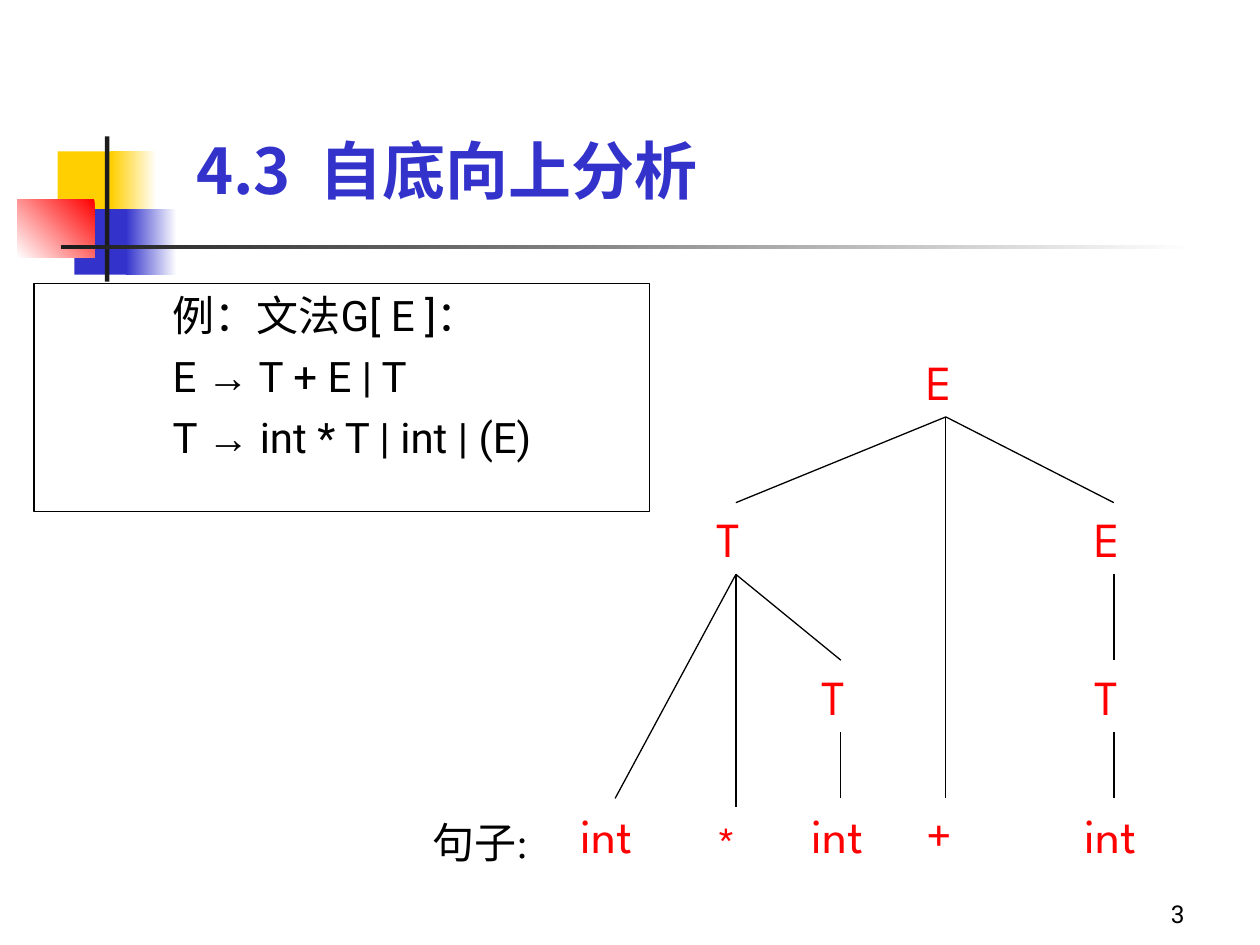
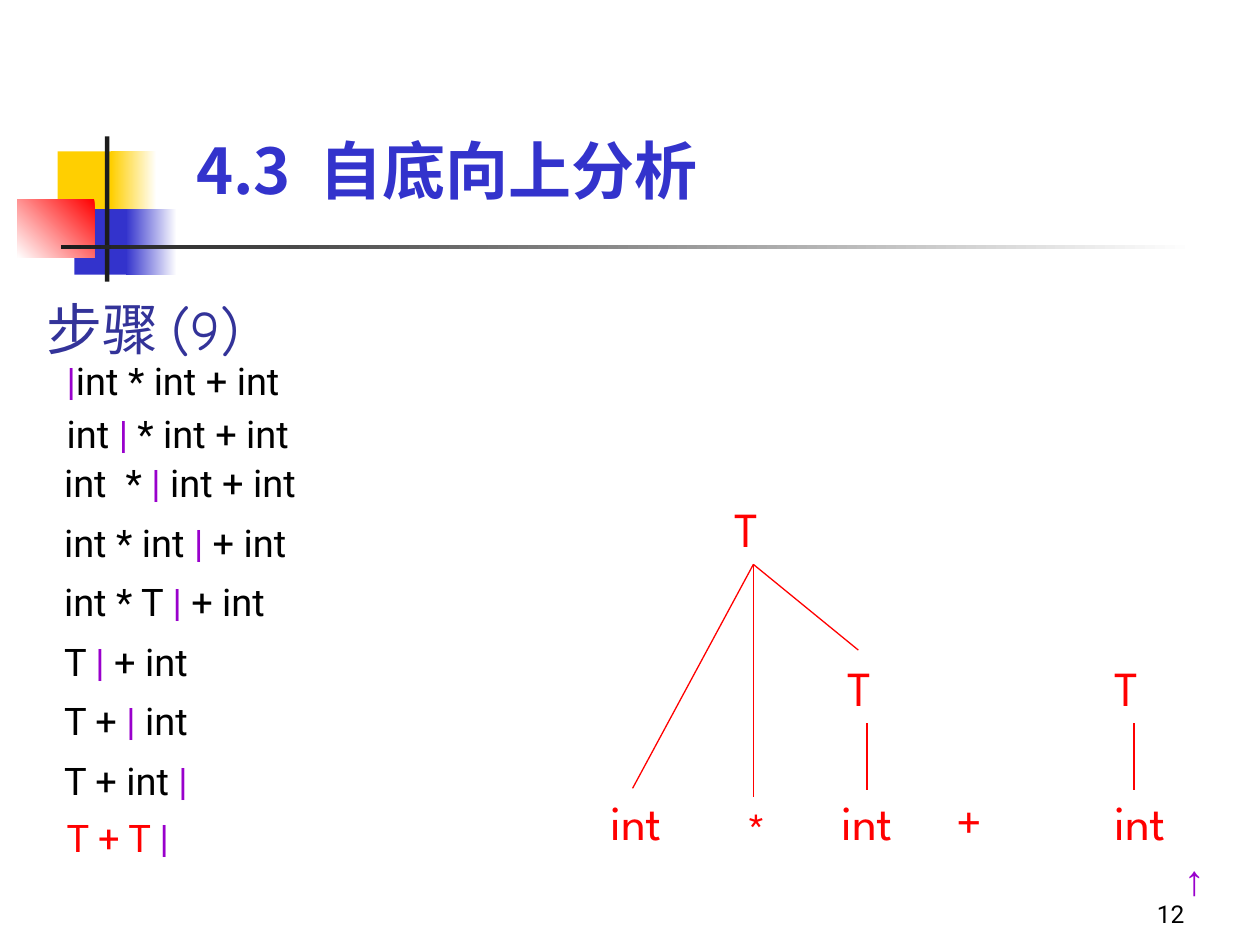
from lxml import etree
from pptx import Presentation
from pptx.dml.color import RGBColor
from pptx.enum.shapes import MSO_CONNECTOR as CONN, MSO_SHAPE as SHAPE
from pptx.enum.text import MSO_ANCHOR as ANCHOR, PP_ALIGN as ALIGN
from pptx.oxml.ns import qn
from pptx.util import Pt

# Shared style
YELLOW, BLUE, RED, DARK = "FFCF01", "3333CC", "FF0000", "1C1C1C"
BLACK, WHITE, PURPLE, NAVY = "000000", "FFFFFF", "9900CC", "333399"
CJK, BODY, TREE, ARROW = "Noto Sans CJK SC", "Roboto", "League Spartan", "Arial"
NODE_W, NODE_H = 36, 41
BOTTOM, TOP = 2, 0

# Sentence below both trees: label, centre x, top y, width
LEAVES = {
    "int1": ("int", 27, 259, 54),
    "times": ("*", 96, 264, NODE_W),
    "int2": ("int", 156, 259, 48),
    "plus": ("+", 216, 258.5, NODE_W),
    "int3": ("int", 312, 259, 48),
}


def rgb(value):
    return RGBColor.from_string(value)


def add_text(s, box, paragraphs, size=24, font=BODY, color=BLACK, bold=False,
             align=ALIGN.LEFT, anchor=ANCHOR.TOP, space=0, spacing=None,
             indent=0, outline=None):
    """Each paragraph is a list of (text, font, colour); None means the default."""
    sp = s.shapes.add_textbox(*map(Pt, box))
    if outline:
        sp.line.color.rgb = rgb(outline)
        sp.line.width = Pt(0.75)
    tf = sp.text_frame
    tf.word_wrap = True
    tf.vertical_anchor = anchor
    tf.margin_left = Pt(7.2 + indent)
    for i, runs in enumerate(paragraphs):
        p = tf.add_paragraph() if i else tf.paragraphs[0]
        p.alignment = align
        if i:
            p.space_before = Pt(space)
        if spacing:
            p.line_spacing = spacing
        for words, run_font, run_color in runs:
            r = p.add_run()
            r.text = words
            r.font.name = run_font or font
            r.font.size = Pt(size)
            r.font.bold = bold
            r.font.color.rgb = rgb(run_color or color)
            east = etree.SubElement(r.font._element, qn("a:ea"))
            east.set("typeface", ARROW if run_font == ARROW else CJK)
    return sp


def add_line(s, label, words, **fmt):
    return add_text(s, label, [[(words, None, None)]], **fmt)


def add_block(s, box, start, end=None, angle=180):
    """A plain rectangle, or one fading from start to end."""
    sp = s.shapes.add_shape(SHAPE.RECTANGLE, *map(Pt, box))
    sp.shadow.inherit = False
    sp.line.fill.background()
    if end is None:
        sp.fill.solid()
        sp.fill.fore_color.rgb = rgb(start)
        return
    sp.fill.gradient()
    sp.fill.gradient_angle = angle
    for stop, color in zip(sp.fill.gradient_stops, (start, end)):
        stop.color.rgb = rgb(color)


def add_frame(s, number):
    # Coloured squares and crossing bars
    add_block(s, (33, 86.5, 34.5, 37.5), YELLOW)
    add_block(s, (63.5, 86.5, 26, 37.5), WHITE, YELLOW)
    add_block(s, (42.5, 119.5, 33, 37.5), BLUE)
    add_block(s, (72, 119.5, 29, 37.5), WHITE, BLUE)
    add_block(s, (10, 113.75, 44, 33.5), RED, WHITE, angle=225)
    add_block(s, (60, 78, 2.5, 83), DARK)
    add_block(s, (34.75, 140, 648, 2.5), WHITE, DARK)
    # Title and page number
    add_line(s, (105, 54.75, 537, 67), "4.3  自底向上分析", size=36, font=CJK,
             color=BLUE, bold=True, anchor=ANCHOR.BOTTOM)
    add_line(s, (534, 498, 150, 36), number, size=14, align=ALIGN.RIGHT,
             anchor=ANCHOR.BOTTOM)


def add_tree(s, left, top, inner, edges, color):
    """Edges run from a node to another node or to a point (x, y)."""
    nodes = {}
    for name, (label, x, y, w) in {**inner, **LEAVES}.items():
        box = (left + x - w / 2, top + y, w, NODE_H)
        nodes[name] = add_line(s, box, label, size=28, font=TREE, color=RED)
    for parent, child in edges:
        x, y = (0, 0) if child in nodes else child
        c = s.shapes.add_connector(CONN.STRAIGHT, 0, 0, Pt(left + x), Pt(top + y))
        c.begin_connect(nodes[parent], BOTTOM)
        if child in nodes:
            c.end_connect(nodes[child], TOP)
        c.line.color.rgb = rgb(color)
        c.line.width = Pt(0.75)
        etree.SubElement(c._element.spPr, qn("a:effectLst"))


def add_grammar(s, left, top):
    arrow = ("→", ARROW, None)
    rules = [("E ", " T + E | T"), ("T ", " int * T | int | (E)")]
    paragraphs = [[("例：文法G[ E ]：", None, None)]]
    paragraphs += [[(a, None, None), arrow, (b, None, None)] for a, b in rules]
    add_text(s, (left, top, 351.5, 130.5), paragraphs, space=6, indent=72,
             outline=BLACK)


def add_steps(s, left, top):
    add_line(s, (left, top, 159, 72), "步骤 (9)", size=32, font="Comic Neue",
             color=NAVY, anchor=ANCHOR.MIDDLE)
    steps = ["|int * int + int", "int | * int + int", "int  * | int + int",
             "int * int | + int", "int * T | + int", "T | + int",
             "T + | int", "T + int |", "T + T |"]
    offsets = [54.75, 85, *range(113, 284, 34), 315.5]
    for i, (step, dy) in enumerate(zip(steps, offsets)):
        last = i == len(steps) - 1
        dx = 11.5 if i < 2 or last else 10
        before, bar, after = step.partition("|")
        runs = [(before, None, None), (bar, None, PURPLE), (after, None, None)]
        add_text(s, (left + dx, top + dy, 234, 36), [[r for r in runs if r[0]]],
                 size=21.7, color=RED if last else BLACK, spacing=0.8)


def grammar_slide(prs):
    s = prs.slides.add_slide(prs.slide_layouts[6])
    add_frame(s, "3")
    add_grammar(s, 19.5, 162)
    # Full parse tree
    inner = {
        "root": ("E", 216, 0, NODE_W),
        "left": ("T", 96, 90, NODE_W),
        "right": ("E", 312, 90, NODE_W),
        "factor": ("T", 156, 180, NODE_W),
        "term": ("T", 312, 180, NODE_W),
    }
    edges = [("root", "left"), ("root", "plus"), ("root", "right"),
             ("left", "int1"), ("left", "times"), ("left", "factor"),
             ("right", "term"), ("factor", "int2"), ("term", "int3")]
    add_tree(s, 324.5, 197.25, inner, edges, BLACK)
    add_line(s, (240, 463, 73.25, 36), "句子:", font="Times New Roman")


def step_slide(prs):
    s = prs.slides.add_slide(prs.slide_layouts[6])
    add_frame(s, "12")
    add_steps(s, 19.5, 151.25)
    # Partial parse tree
    inner = {
        "left": ("T", 89, 92, NODE_W),
        "factor": ("T", 154, 182.75, NODE_W),
        "term": ("T", 306.5, 182.75, NODE_W),
    }
    edges = [("left", (20, 261)), ("left", (89, 266)), ("left", (149, 182)),
             ("factor", (154, 262)), ("term", (306.5, 262))]
    add_tree(s, 341.5, 189.5, inner, edges, RED)
    # Reading position
    add_line(s, (669.5, 484, 42, 36), "↑", color=PURPLE).text_frame
    mark = s.shapes[-1].text_frame.paragraphs[0].runs[0].font
    mark.name = ARROW


def main():
    prs = Presentation()
    prs.slide_width, prs.slide_height = Pt(720), Pt(540)
    grammar_slide(prs)
    step_slide(prs)
    prs.save("out.pptx")


if __name__ == "__main__":
    main()
